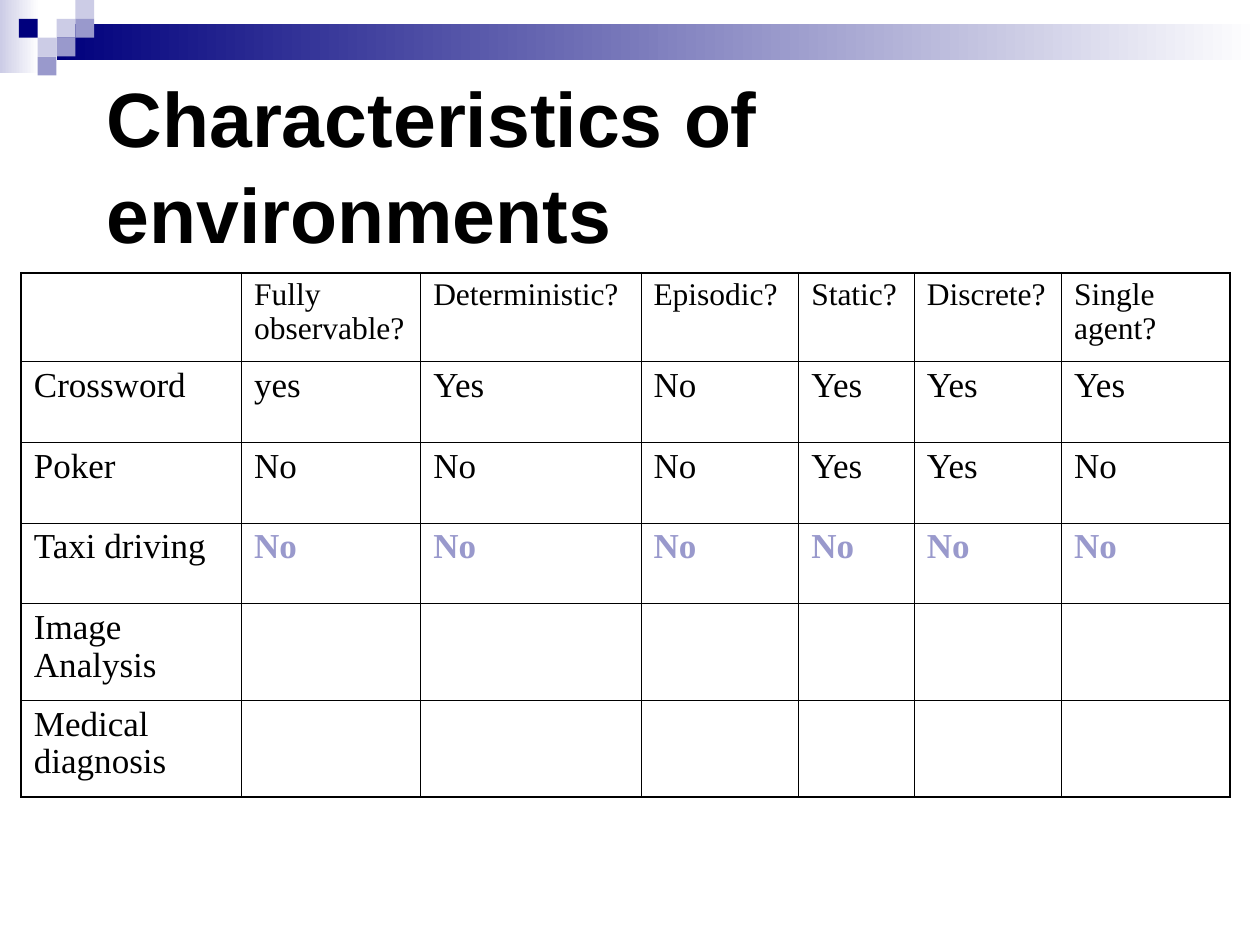
from lxml import etree
from pptx import Presentation
from pptx import util as u
from pptx.dml.color import RGBColor
from pptx.enum import shapes, text
from pptx.oxml.ns import qn

BLACK, WHITE = "000000", "FFFFFF"
NAVY, LILAC, PALE = "00007D", "9999CC", "CCCCE6"
THIN, THICK = 0.45, 1.08  # table rules in points

HEADER = ["", "Fully observable?", "Deterministic?", "Episodic?",
          "Static?", "Discrete?", "Single agent?"]
ENVIRONMENTS = [
    ["Crossword", "yes", "Yes", "No", "Yes", "Yes", "Yes"],
    ["Poker", "No", "No", "No", "Yes", "Yes", "No"],
    ["Taxi driving"] + ["No"] * 6,
    ["Image Analysis"] + [""] * 6,
    ["Medical diagnosis"] + [""] * 6,
]
HIGHLIGHTED_ROW = 3
COLUMN_WIDTHS = [4.44, 3.61, 4.44, 3.18, 2.33, 2.97, 3.39]
ROW_HEIGHTS = [1.78, 1.63, 1.63, 1.63, 1.95, 1.95]


def color(hex_string):
    return RGBColor.from_string(hex_string)


def format_paragraph(paragraph, font_name, size, hex_string=BLACK, bold=False):
    paragraph.alignment = text.PP_ALIGN.LEFT
    for run in paragraph.runs:
        run.font.name = font_name
        run.font.size = u.Pt(size)
        run.font.bold = bold
        run.font.color.rgb = color(hex_string)


def add_block(slide, left, top, width, height, start, end=None):
    """Borderless rectangle, plain or fading from left to right."""
    block = slide.shapes.add_shape(
        shapes.MSO_SHAPE.RECTANGLE,
        u.Cm(left), u.Cm(top), u.Cm(width), u.Cm(height))
    block.shadow.inherit = False
    block.line.fill.background()
    if end is None:
        block.fill.solid()
        block.fill.fore_color.rgb = color(start)
        return
    block.fill.gradient()
    block.fill.gradient_angle = 0
    for stop, position, hex_string in zip(
            block.fill.gradient_stops, (0, 1), (start, end)):
        stop.position = position
        stop.color.rgb = color(hex_string)


def add_banner(slide, left, top, width, unit):
    """Fading bars with a checker of squares; unit is the square's side."""
    add_block(slide, left, top, 0.79, 1.47, PALE, WHITE)
    add_block(slide, left + 3 * unit, top + 1.25 * unit,
              width - 3 * unit, 2 * unit - 0.02, NAVY, WHITE)
    squares = [(3, 1, PALE), (4, 0, PALE), (4, 1, LILAC), (2, 2, PALE),
               (1, 1, NAVY), (3, 2, LILAC), (2, 3, LILAC)]
    for column, row, hex_string in squares:
        add_block(slide, left + column * unit, top + row * unit,
                  unit, unit, hex_string)


def add_title(slide, left, top, width, height):
    box = slide.shapes.add_textbox(
        u.Cm(left), u.Cm(top), u.Cm(width), u.Cm(height))
    frame = box.text_frame
    frame.word_wrap = True
    frame.vertical_anchor = text.MSO_ANCHOR.MIDDLE
    frame.text = "Characteristics of environments"
    frame.paragraphs[0].line_spacing = 1.04
    format_paragraph(frame.paragraphs[0], "Arial", 44, bold=True)


def set_borders(cell, widths):
    """Draw black cell borders; widths maps L, R, T, B to points."""
    properties = cell._tc.get_or_add_tcPr()
    for side, width in widths.items():
        line = etree.SubElement(properties, qn(f"a:ln{side}"),
                                w=str(int(u.Pt(width))))
        fill = etree.SubElement(line, qn("a:solidFill"))
        etree.SubElement(fill, qn("a:srgbClr"), val=BLACK)


def add_environment_table(slide, left, top):
    rows = [HEADER] + ENVIRONMENTS
    last_row, last_column = len(rows) - 1, len(HEADER) - 1
    table = slide.shapes.add_table(
        len(rows), len(HEADER), u.Cm(left), u.Cm(top),
        u.Cm(sum(COLUMN_WIDTHS)), u.Cm(sum(ROW_HEIGHTS))).table
    table.first_row = table.horz_banding = False
    for column, width in zip(table.columns, COLUMN_WIDTHS):
        column.width = u.Cm(width)
    for row, height in zip(table.rows, ROW_HEIGHTS):
        row.height = u.Cm(height)

    for r, values in enumerate(rows):
        size = 18 if r == 0 else 20
        for c, value in enumerate(values):
            cell = table.cell(r, c)
            # Thick rules around the outside, thin ones inside
            set_borders(cell, {
                "L": THICK if c == 0 else THIN,
                "R": THICK if c == last_column else THIN,
                "T": THICK if r == 0 else THIN,
                "B": THICK if r == last_row else THIN,
            })
            cell.fill.background()
            if not value:
                continue
            cell.text_frame.text = value
            paragraph = cell.text_frame.paragraphs[0]
            paragraph.space_before = u.Pt(size / 4)
            paragraph.line_spacing = 0.96
            marked = r == HIGHLIGHTED_ROW and c > 0
            format_paragraph(paragraph, "Times New Roman", size,
                             LILAC if marked else BLACK, marked)


def main():
    presentation = Presentation()
    presentation.slide_width, presentation.slide_height = u.Cm(25.4), u.Cm(19.05)
    slide = presentation.slides.add_slide(presentation.slide_layouts[6])
    add_banner(slide, 0, 0, 25.4, 0.38)
    add_title(slide, 1.9, 1.7, 21.6, 3.18)
    add_environment_table(slide, 0.43, 5.5)
    presentation.save("out.pptx")


if __name__ == "__main__":
    main()
